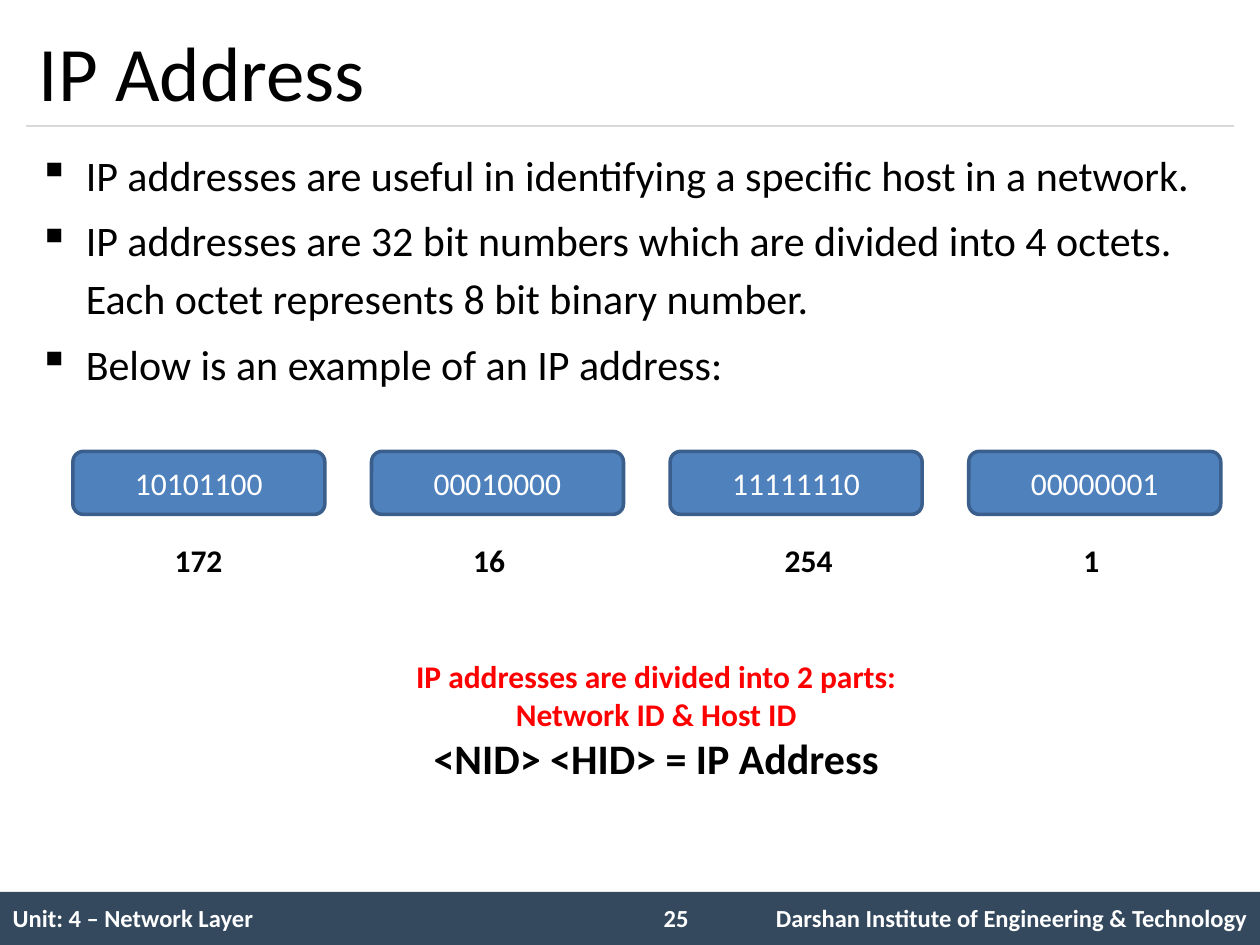
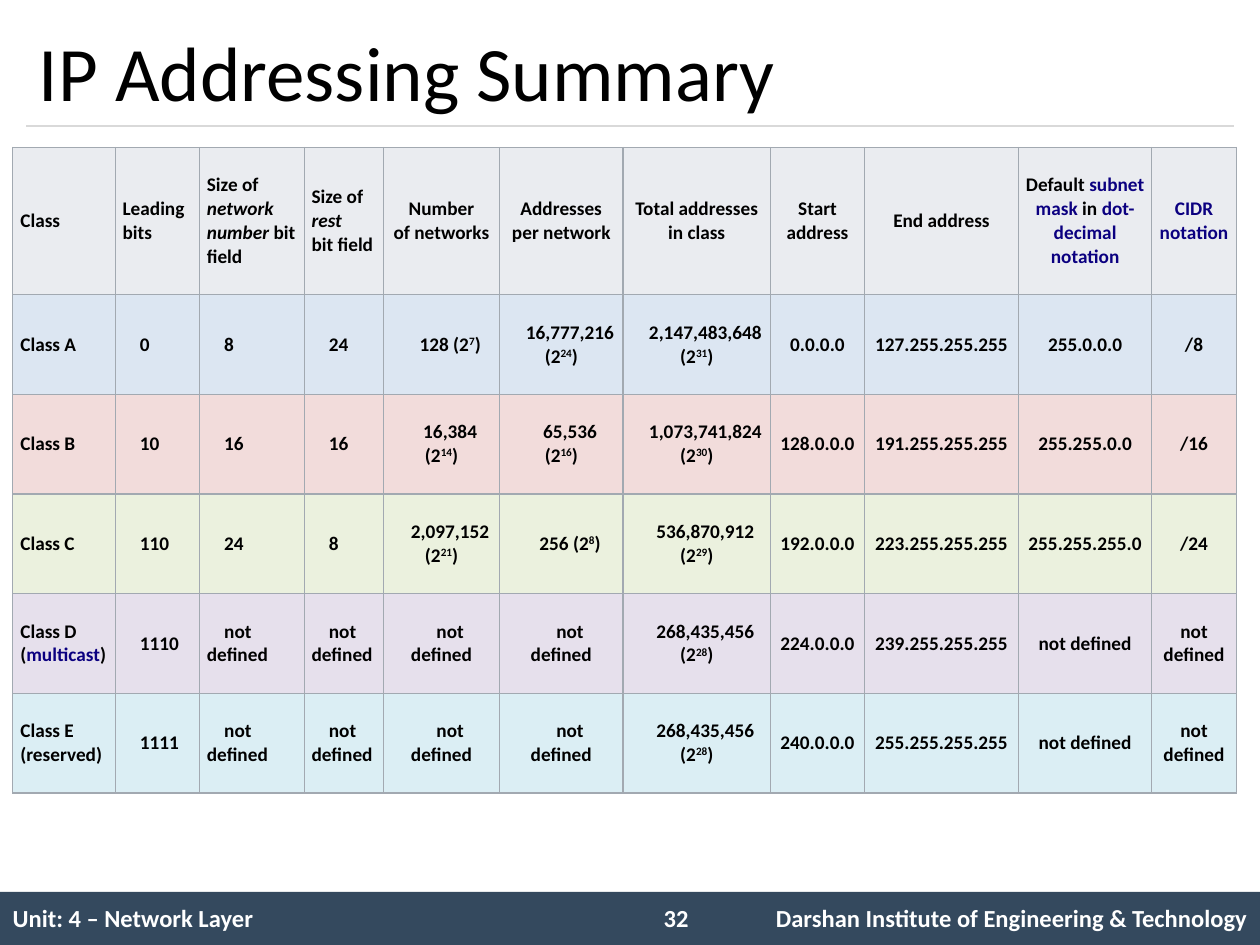
from lxml import etree
from pptx import Presentation
from pptx.dml.color import RGBColor
from pptx.enum.shapes import MSO_CONNECTOR, MSO_SHAPE
from pptx.enum.text import MSO_ANCHOR, MSO_AUTO_SIZE, PP_ALIGN
from pptx.oxml.ns import qn
from pptx.util import Cm, Pt

LEFT, MID, RIGHT = PP_ALIGN.LEFT, PP_ALIGN.CENTER, PP_ALIGN.RIGHT
MIDDLE, NO_FIT = MSO_ANCHOR.MIDDLE, MSO_AUTO_SIZE.NONE
RECT, ROUND = MSO_SHAPE.RECTANGLE, MSO_SHAPE.ROUNDED_RECTANGLE
STRAIGHT = MSO_CONNECTOR.STRAIGHT

FONT = "Calibri"
BLACK, WHITE, RED, LINK = "000000", "FFFFFF", "FF0000", "0B0080"
BAND, RULE, GRID = "34495E", "D9D9D9", "A2A9B1"
BLUE, EDGE = "4F81BD", "3A5F8C"
PLAIN = "{2D5ABB26-0587-4C30-8999-92F81FD0307C}"

UNIT = "Unit: 4 – Network Layer"
SCHOOL = "Darshan Institute of Engineering & Technology"

POINTS = [
    "IP addresses are useful in identifying a specific host in a network.",
    "IP addresses are 32 bit numbers which are divided into 4 octets. "
    "Each octet represents 8 bit binary number.",
    "Below is an example of an IP address:",
]
# Binary octet, decimal value, indent of the value under its box in cm
OCTETS = [
    ("10101100", "172", 1.8),
    ("00010000", "16", 1.8),
    ("11111110", "254", 2.06),
    ("00000001", "1", 2.06),
]
NOTES = [
    ("IP addresses are divided into 2 parts:", 18, RED),
    ("Network ID & Host ID", 18, RED),
    ("<NID> <HID> = IP Address", 24, BLACK),
]

WIDTHS = [2.06, 1.7, 2.11, 1.6, 2.34, 2.49, 2.97, 1.9, 3.1, 2.69, 1.7]
HEADS = [
    ["Class"],
    ["Leading\nbits"],
    ["Size of ", ("network\nnumber ", "italic"), "bit field"],
    ["Size of ", ("rest\n", "italic"), "bit field"],
    ["Number\nof networks"],
    ["Addresses\nper network"],
    ["Total addresses\nin class"],
    ["Start address"],
    ["End address"],
    ["Default ", ("subnet mask", "link"), " in ",
     ("dot-decimal notation", "link")],
    [("CIDR notation", "link")],
]
NONE = ["not defined"]


def power(num, exp):
    """Return the parts of a count followed by its power of two."""
    return [f"{num} (2", (str(exp), "super"), ")"]


CLASSES = [
    ("DCE6F2", [["Class A"], ["0"], ["8"], ["24"], power("128", 7),
                power("16,777,216", 24), power("2,147,483,648", 31),
                ["0.0.0.0"], ["127.255.255.255"], ["255.0.0.0"], ["/8"]]),
    ("F2DCDB", [["Class B"], ["10"], ["16"], ["16"], power("16,384", 14),
                power("65,536", 16), power("1,073,741,824", 30),
                ["128.0.0.0"], ["191.255.255.255"], ["255.255.0.0"], ["/16"]]),
    ("EBF1DE", [["Class C"], ["110"], ["24"], ["8"], power("2,097,152", 21),
                power("256", 8), power("536,870,912", 29),
                ["192.0.0.0"], ["223.255.255.255"], ["255.255.255.0"],
                ["/24"]]),
    ("E6E0EC", [["Class D (", ("multicast", "link"), ")"], ["1110"], NONE,
                NONE, NONE, NONE, power("268,435,456", 28),
                ["224.0.0.0"], ["239.255.255.255"], NONE, NONE]),
    ("DBEEF4", [["Class E (reserved)"], ["1111"], NONE, NONE, NONE, NONE,
                power("268,435,456", 28),
                ["240.0.0.0"], ["255.255.255.255"], NONE, NONE]),
]


def hue(code):
    """Turn a hex string into a colour."""
    return RGBColor.from_string(code)


def style(para, size, color=BLACK, bold=False, align=LEFT):
    """Set the font and alignment of a paragraph."""
    font = para.font
    font.name, font.size, font.bold = FONT, Pt(size), bold
    font.color.rgb = hue(color)
    para.alignment = align


def write(para, parts):
    """Add plain and marked parts to a paragraph as runs."""
    for part in parts:
        text, mark = (part, "") if isinstance(part, str) else part
        for i, line in enumerate(text.split("\n")):
            if i:
                para.add_line_break()
            if not line:
                continue
            run = para.add_run()
            run.text = line
            if mark == "italic":
                run.font.italic = True
            elif mark == "link":
                run.font.color.rgb = hue(LINK)
            elif mark == "super":
                run._r.get_or_add_rPr().set("baseline", "30000")


def box(slide, x, y, w, h, wrap=True):
    """Add a text box and return its frame."""
    frame = slide.shapes.add_textbox(Cm(x), Cm(y), Cm(w), Cm(h)).text_frame
    frame.word_wrap = wrap
    return frame


def block(slide, kind, x, y, w, h, fill):
    """Add a filled shape without shadow or outline."""
    shape = slide.shapes.add_shape(kind, Cm(x), Cm(y), Cm(w), Cm(h))
    shape.shadow.inherit = False
    shape.fill.solid()
    shape.fill.fore_color.rgb = hue(fill)
    shape.line.fill.background()
    return shape


def table(slide, x, y, widths, heights):
    """Add an unstyled table with the given columns and rows."""
    grid = slide.shapes.add_table(
        len(heights), len(widths), Cm(x), Cm(y),
        Cm(sum(widths)), Cm(sum(heights))).table
    grid.first_row = grid.horz_banding = False
    grid._tbl.tblPr.find(qn("a:tableStyleId")).text = PLAIN
    for col, width in zip(grid.columns, widths):
        col.width = Cm(width)
    for row, height in zip(grid.rows, heights):
        row.height = Cm(height)
    return grid


def border(cell):
    """Draw a thin line on all four sides of a cell."""
    props = cell._tc.get_or_add_tcPr()
    for i, side in enumerate(("lnL", "lnR", "lnT", "lnB")):
        line = etree.Element(qn(f"a:{side}"), w=str(Pt(0.75)))
        fill = etree.SubElement(line, qn("a:solidFill"))
        etree.SubElement(fill, qn("a:srgbClr"), val=GRID)
        props.insert(i, line)


def base(deck, title, page):
    """Add a slide with its title, rule and footer."""
    slide = deck.slides.add_slide(deck.slide_layouts[5])
    block(slide, RECT, 0, 17.98, 25.4, 1.07, BAND)
    rule = slide.shapes.add_connector(
        STRAIGHT, Cm(0.53), Cm(2.54), Cm(24.87), Cm(2.54))
    rule.line.color.rgb = hue(RULE)
    rule.line.width = Pt(0.75)
    etree.SubElement(rule._element.spPr, qn("a:effectLst"))

    foot = table(slide, 0, 17.98, [12.9, 1.7, 10.8], [1.08])
    for col, text, align in ((0, UNIT, LEFT), (2, SCHOOL, RIGHT)):
        cell = foot.cell(0, col)
        cell.vertical_anchor = MIDDLE
        cell.text = text
        style(cell.text_frame.paragraphs[0], 14, WHITE, True, align)
    para = box(slide, 13.13, 18.08, 1.47, 0.86).paragraphs[0]
    para.text = page
    style(para, 14, WHITE, True)

    head = slide.shapes.title
    head.left, head.top = Cm(0.53), Cm(0.3)
    head.width, head.height = Cm(24.34), Cm(2.24)
    frame = head.text_frame
    frame.text = title
    frame.auto_size, frame.vertical_anchor = NO_FIT, MIDDLE
    style(frame.paragraphs[0], 44)
    return slide


def address(deck):
    """Build the slide that explains an IP address."""
    slide = base(deck, "IP Address", "25")
    frame = box(slide, 0.53, 2.74, 24.34, 14.8)
    for i, text in enumerate(POINTS):
        para = frame.add_paragraph() if i else frame.paragraphs[0]
        para.text = text
        props = para._p.get_or_add_pPr()
        props.set("marL", str(Cm(0.95)))
        props.set("indent", str(Cm(-0.95)))
        etree.SubElement(props, qn("a:buChar"), char="▪")
        style(para, 24)
        para.line_spacing = 1.14
        if i:
            para.space_before = Pt(4.8)

    for i, (bits, value, shift) in enumerate(OCTETS):
        x = 1.47 + i * 6.02
        octet = block(slide, ROUND, x, 9.1, 5.08, 1.27, BLUE)
        octet.line.color.rgb = hue(EDGE)
        octet.line.width = Pt(2)
        octet.text_frame.text = bits
        octet.text_frame.vertical_anchor = MIDDLE
        style(octet.text_frame.paragraphs[0], 18, WHITE, align=MID)
        width = 0.5 + 0.33 * len(value)
        para = box(slide, x + shift, 10.78, width, 1.02, False).paragraphs[0]
        para.text = value
        style(para, 18, bold=True)

    frame = box(slide, 2.12, 13.12, 22.22, 2.82)
    for i, (text, size, color) in enumerate(NOTES):
        para = frame.add_paragraph() if i else frame.paragraphs[0]
        para.text = text
        style(para, size, color, True, MID)


def summary(deck):
    """Build the slide with the table of address classes."""
    slide = base(deck, "IP Addressing Summary", "32")
    rows = [("EAECF0", HEADS)] + CLASSES
    grid = table(slide, 0.26, 2.97, WIDTHS, [2.97] + [2.01] * len(CLASSES))
    for r, (fill, cells) in enumerate(rows):
        for c, parts in enumerate(cells):
            cell = grid.cell(r, c)
            cell.fill.solid()
            cell.fill.fore_color.rgb = hue(fill)
            border(cell)
            cell.vertical_anchor = MIDDLE
            cell.margin_left = cell.margin_right = Cm(0.15)
            cell.margin_top = cell.margin_bottom = Cm(0.08)
            para = cell.text_frame.paragraphs[0]
            write(para, parts)
            style(para, 11, bold=True, align=LEFT if c < 4 else MID)
            if r and 1 <= c <= 6:
                para._p.get_or_add_pPr().set("indent", str(Cm(0.35)))


def main():
    """Build and save the deck."""
    deck = Presentation()
    deck.slide_width, deck.slide_height = Cm(25.4), Cm(19.05)
    address(deck)
    summary(deck)
    deck.save("out.pptx")


if __name__ == "__main__":
    main()
